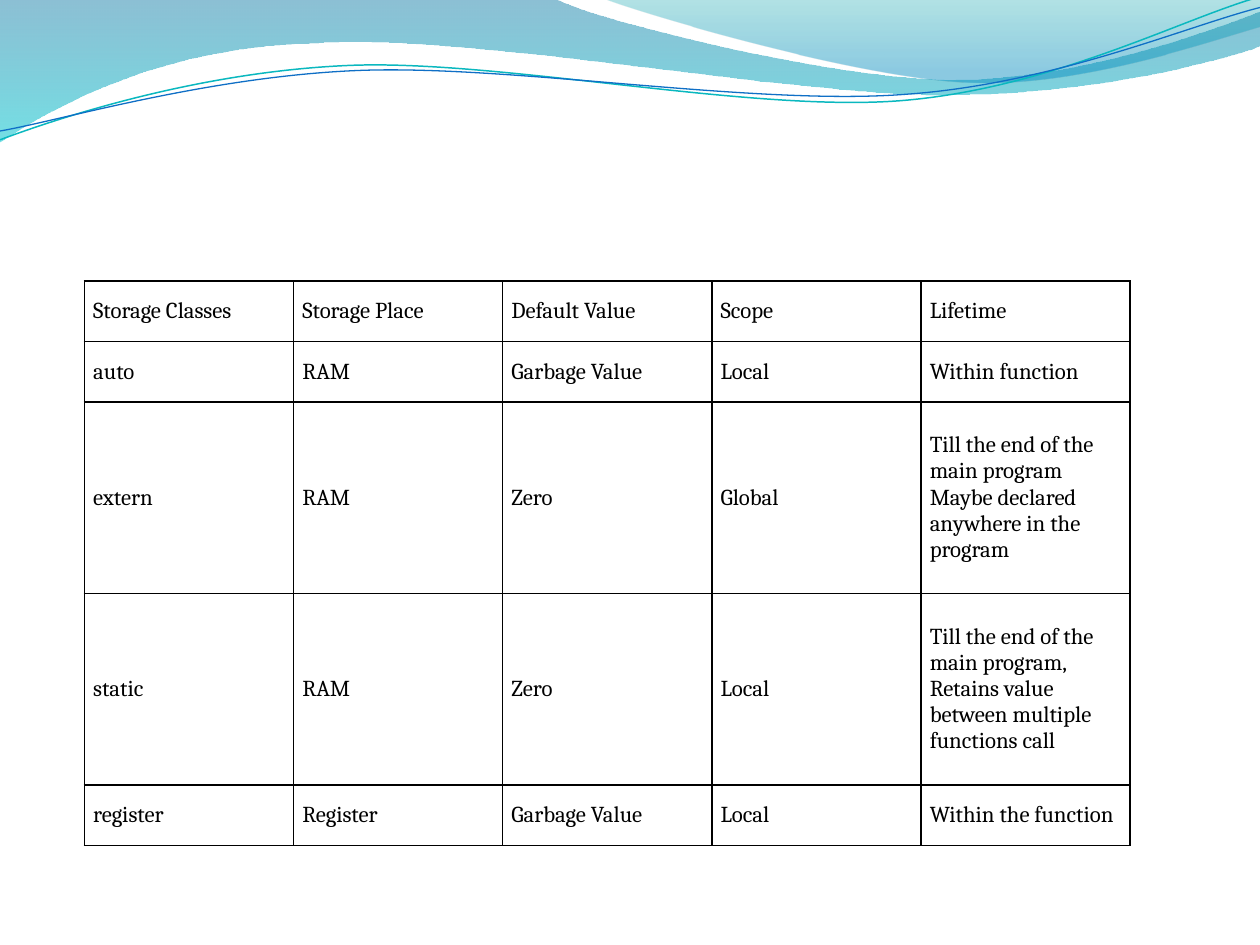
from dataclasses import dataclass
from math import cos, radians, sin

from lxml.etree import SubElement
from pptx import Presentation
from pptx.dml.color import RGBColor
from pptx.enum.text import MSO_ANCHOR
from pptx.oxml.ns import qn
from pptx.shapes.autoshape import Shape
from pptx.slide import Slide
from pptx.table import _Cell
from pptx.util import Inches, Pt

Point = tuple[float, float]
Segments = tuple[tuple[Point, ...], ...]
UNITS_PER_INCH = 1000


@dataclass(frozen=True)
class Stop:
    position: float
    color: str
    opacity: int


@dataclass(frozen=True)
class Wave:
    start: Point
    segments: Segments
    stops: tuple[Stop, Stop]


@dataclass(frozen=True)
class Ribbon:
    start: Point
    segments: Segments
    center: Point
    color: str
    width: float


WAVES = (
    Wave(
        (0, 0),
        (
            ((4.4, -0.01),),
            ((4.76, 0.17), (6.64, 0.63), (7.58, 0.63)),
            ((8.53, 0.63), (9.58, 0.26), (10, 0.09)),
            ((10.01, 0.36),),
            ((9.83, 0.44), (8.7, 0.76), (7.46, 0.75)),
            ((6.22, 0.75), (3.82, 0.28), (2.57, 0.34)),
            ((1.29, 0.36), (0.46, 0.83), (-0.01, 1.13)),
            ((0, 0),),
        ),
        (Stop(0, "0074A1", 45), Stop(1, "00C6CF", 55)),
    ),
    Wave(
        (4.79, -0.01),
        (
            ((5.09, 0.11), (6.82, 0.62), (7.69, 0.65)),
            ((8.56, 0.69), (9.61, 0.32), (10, 0.21)),
            ((10, 0),),
            ((4.79, -0.01),),
        ),
        (Stop(0, "00A1A9", 30), Stop(0.8, "008BBF", 45)),
    ),
)

RIBBON_ROTATION = 357.3
RIBBONS = (
    Ribbon(
        (0, 1.11),
        (
            ((0.48, 0.93), (1.58, 0.57), (2.77, 0.52)),
            ((3.95, 0.47), (5.93, 0.89), (7.13, 0.8)),
            ((8.33, 0.71), (9.38, 0.15), (9.98, -0.02)),
        ),
        (4.99, 0.58),
        "0AB8BF",
        0.85,
    ),
    Ribbon(
        (0, 1.04),
        (
            ((0.47, 0.96), (1.64, 0.61), (2.83, 0.56)),
            ((4.03, 0.51), (5.97, 0.84), (7.17, 0.75)),
            ((8.36, 0.67), (9.41, 0.21), (10, 0.06)),
        ),
        (5, 0.59),
        "0F6FC6",
        0.75,
    ),
)

STORAGE_CLASSES = (
    ("Storage Classes", "Storage Place", "Default Value", "Scope", "Lifetime"),
    ("auto", "RAM", "Garbage Value", "Local", "Within function"),
    ("extern", "RAM", "Zero", "Global",
     "Till the end of the main program Maybe declared anywhere in the program"),
    ("static", "RAM", "Zero", "Local",
     "Till the end of the main program, Retains value between multiple functions call"),
    ("register", "Register", "Garbage Value", "Local", "Within the function"),
)
COLUMN_WIDTH = 1.66
ROW_HEIGHTS = (0.48, 0.48, 1.52, 1.52, 0.48)


def rgb(color: str) -> RGBColor:
    """Turn a hex string into a colour."""
    return RGBColor.from_string(color)


def turn(point: Point, center: Point, degrees: float) -> Point:
    """Turn a point clockwise about a center."""
    x, y = point[0] - center[0], point[1] - center[1]
    cosine, sine = cos(radians(degrees)), sin(radians(degrees))
    return center[0] + x * cosine - y * sine, center[1] + x * sine + y * cosine


def draw_outline(page: Slide, start: Point, segments: Segments, close: bool) -> Shape:
    """Draw a freeform of straight lines and cubic curves without shadow."""
    points = [
        (round(x * UNITS_PER_INCH), round(y * UNITS_PER_INCH))
        for x, y in (start, *(point for segment in segments for point in segment))
    ]
    builder = page.shapes.build_freeform(*points[0], scale=Inches(1) / UNITS_PER_INCH)
    builder.add_line_segments(points[1:], close=close)
    shape = builder.convert_to_shape()
    shape.shadow.inherit = False
    lines = iter(list(shape._element.iter(qn("a:lnTo"))))
    for segment in segments:
        first, *others = [next(lines) for _ in segment]
        if others:
            first.tag = qn("a:cubicBezTo")
            for line in others:
                first.append(line[0])
                line.getparent().remove(line)
    return shape


def draw_wave(page: Slide, wave: Wave) -> None:
    """Draw a wave with a translucent gradient from top to bottom."""
    shape = draw_outline(page, wave.start, wave.segments, close=True)
    shape.line.fill.background()
    shape.fill.gradient()
    shape.fill.gradient_angle = 270
    for target, stop in zip(shape.fill.gradient_stops, wave.stops):
        target.position = stop.position
        target.color.rgb = rgb(stop.color)
    for element, stop in zip(shape._element.spPr.iter(qn("a:srgbClr")), wave.stops):
        SubElement(element, qn("a:alpha"), val=str(stop.opacity * 1000))


def draw_ribbon(page: Slide, ribbon: Ribbon) -> None:
    """Draw a thin curved line in a rotated frame."""
    start, *segments = (
        tuple(turn(point, ribbon.center, -RIBBON_ROTATION) for point in segment)
        for segment in ((ribbon.start,), *ribbon.segments)
    )
    shape = draw_outline(page, start[0], tuple(segments), close=False)
    shape.rotation = RIBBON_ROTATION
    shape.fill.background()
    shape.line.color.rgb = rgb(ribbon.color)
    shape.line.width = Pt(ribbon.width)


def fill_cell(cell: _Cell, text: str) -> None:
    """Write and format one cell with a thin black border."""
    properties = cell._tc.get_or_add_tcPr()
    for side in ("a:lnL", "a:lnR", "a:lnT", "a:lnB"):
        line = SubElement(properties, qn(side), w=str(Pt(1)))
        SubElement(SubElement(line, qn("a:solidFill")), qn("a:srgbClr"), val="000000")
    cell.fill.background()
    cell.vertical_anchor = MSO_ANCHOR.MIDDLE
    cell.margin_left = cell.margin_right = Inches(0.07)
    cell.margin_top = cell.margin_bottom = Inches(0.04)
    cell.text = text
    font = cell.text_frame.paragraphs[0].font
    font.name, font.size, font.color.rgb = "Cambria", Pt(13), rgb("000000")


def draw_table(page: Slide) -> None:
    """Draw the table of storage classes."""
    columns = len(STORAGE_CLASSES[0])
    frame = page.shapes.add_table(
        len(STORAGE_CLASSES), columns, Inches(0.67), Inches(2.23),
        Inches(COLUMN_WIDTH * columns), Inches(sum(ROW_HEIGHTS)),
    )
    table = frame.table
    table.first_row = table.horz_banding = False
    for column in table.columns:
        column.width = Inches(COLUMN_WIDTH)
    for row, height, texts in zip(table.rows, ROW_HEIGHTS, STORAGE_CLASSES):
        row.height = Inches(height)
        for cell, text in zip(row.cells, texts):
            fill_cell(cell, text)
    frame.height = Inches(4.51)


def main() -> None:
    """Build the slide and save it."""
    deck = Presentation()
    deck.slide_width, deck.slide_height = Inches(10), Inches(7.5)
    page = deck.slides.add_slide(deck.slide_layouts[6])
    for wave in WAVES:
        draw_wave(page, wave)
    for ribbon in RIBBONS:
        draw_ribbon(page, ribbon)
    draw_table(page)
    deck.save("out.pptx")


if __name__ == "__main__":
    main()
